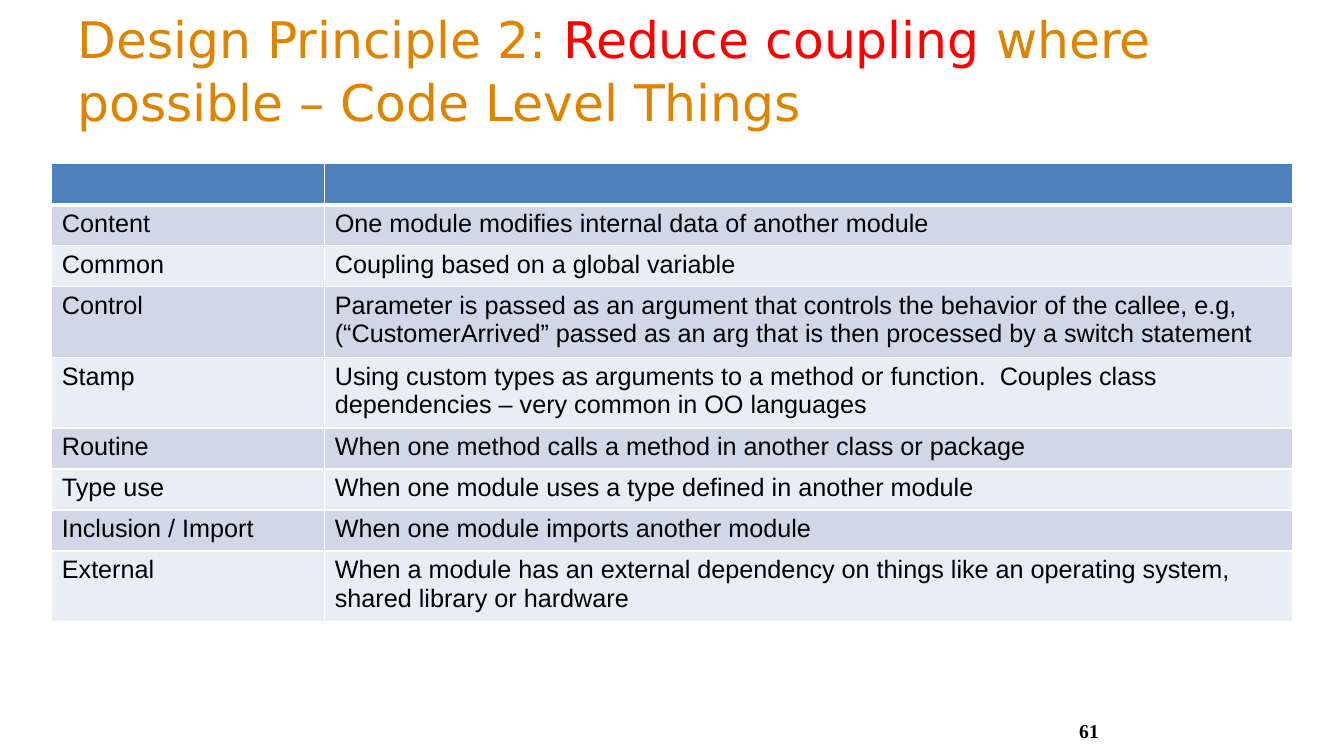
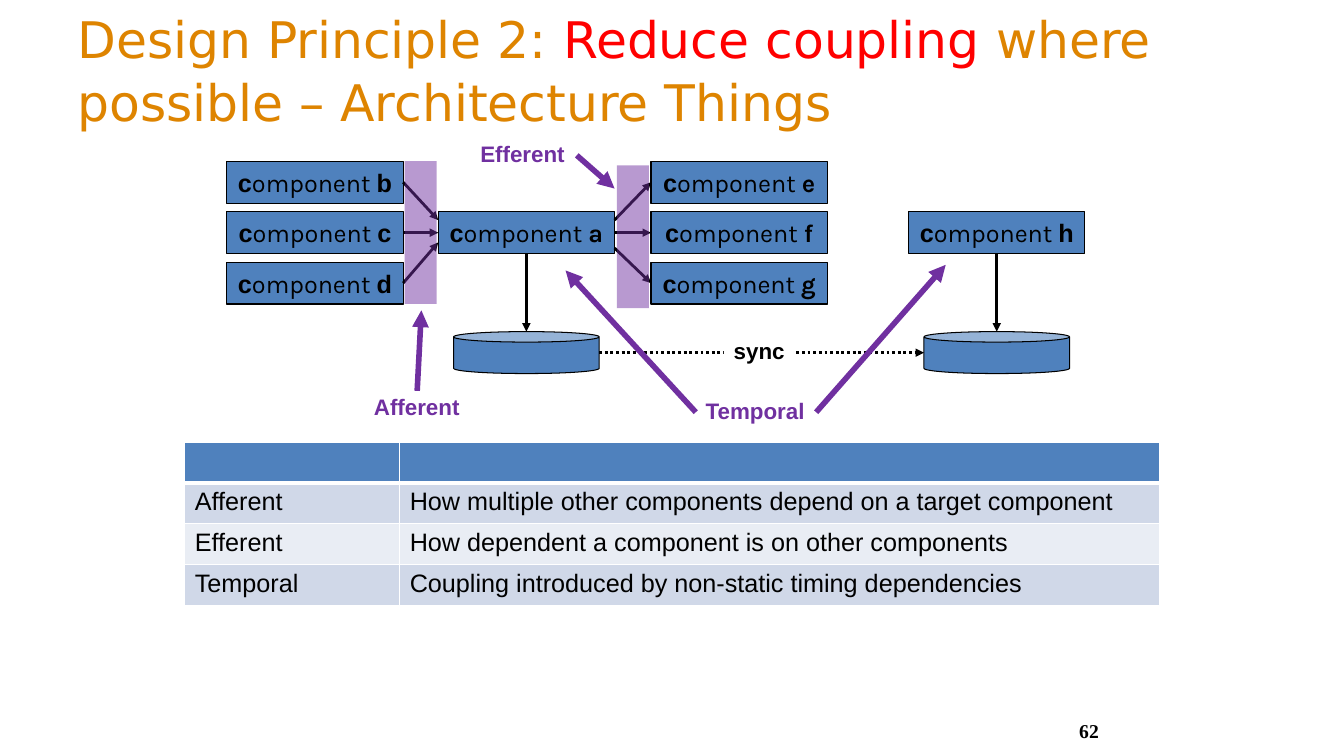
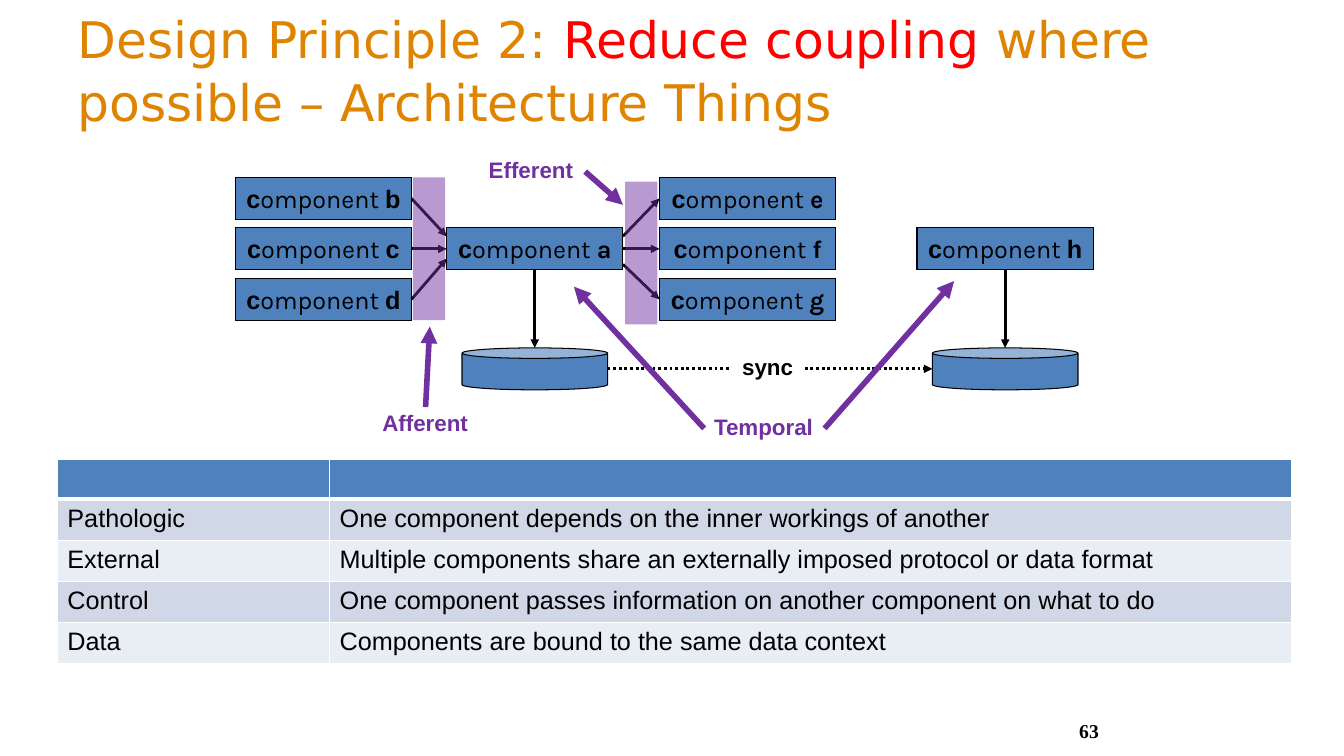
from pptx import Presentation
from pptx.dml.color import RGBColor
from pptx.enum.dml import MSO_LINE
from pptx.enum.shapes import MSO_CONNECTOR, MSO_SHAPE
from pptx.enum.text import MSO_ANCHOR, MSO_AUTO_SIZE, PP_ALIGN
from pptx.oxml.ns import qn
from pptx.util import Pt
from lxml import etree

# Shared look
BLACK, WHITE, RED = "000000", "FFFFFF", "FF0000"
ORANGE, BLUE, PURPLE = "DE8400", "4F81BD", "7030A0"
ROW_FILLS = ("D0D8E8", "E9EDF4")
LEFT, CENTER, RIGHT = PP_ALIGN.LEFT, PP_ALIGN.CENTER, PP_ALIGN.RIGHT
MIDDLE, TOP_ANCHOR = MSO_ANCHOR.MIDDLE, MSO_ANCHOR.TOP
RECTANGLE, CAN = MSO_SHAPE.RECTANGLE, MSO_SHAPE.CAN
STRAIGHT, DOTTED = MSO_CONNECTOR.STRAIGHT, MSO_LINE.ROUND_DOT
NO_AUTOFIT = MSO_AUTO_SIZE.NONE
TITLE_ONLY = 5
TOP, LEFT_SIDE, BOTTOM, RIGHT_SIDE = range(4)

# Component boxes
BOX_WIDTH, BOX_HEIGHT, BOX_PITCH = 126, 30, 36
CAN_WIDTH = 104

CODE_ROWS = [
    ("Content", "One module modifies internal data of another module"),
    ("Common", "Coupling based on a global variable"),
    ("Control", "Parameter is passed as an argument that controls the behavior of the callee, "
     "e.g, (“CustomerArrived” passed as an arg that is then processed by a switch statement"),
    ("Stamp", "Using custom types as arguments to a method or function.  Couples class "
     "dependencies – very common in OO languages"),
    ("Routine", "When one method calls a method in another class or package"),
    ("Type use", "When one module uses a type defined in another module"),
    ("Inclusion / Import", "When one module imports another module"),
    ("External", "When a module has an external dependency on things like an operating system, "
     "shared library or hardware"),
]
DIRECTION_ROWS = [
    ("Afferent", "How multiple other components depend on a target component"),
    ("Efferent", "How dependent a component is on other components"),
    ("Temporal", "Coupling introduced by non-static timing dependencies"),
]
KIND_ROWS = [
    ("Pathologic", "One component depends on the inner workings of another"),
    ("External", "Multiple components share an externally imposed protocol or data format"),
    ("Control", "One component passes information on another component on what to do"),
    ("Data", "Components are bound to the same data context"),
]


def rgb(value):
    return RGBColor.from_string(value)


def write_text(frame, runs, size=18, font="Arial", color=BLACK, bold=False,
               align=LEFT, anchor=MIDDLE, spacing=None, wrap=True):
    """Write one paragraph; each run is (text, overrides of font, color or bold)."""
    frame.word_wrap = wrap
    frame.vertical_anchor = anchor
    paragraph = frame.paragraphs[0]
    paragraph.alignment = align
    paragraph.line_spacing = spacing
    for text, changes in runs:
        run = paragraph.add_run()
        run.text = text
        run.font.size = Pt(size)
        run.font.name = changes.get("font", font)
        run.font.bold = changes.get("bold", bold)
        run.font.color.rgb = rgb(changes.get("color", color))


def add_block(slide, kind, left, top, width, height, fill, outline=None, opacity=None):
    shape = slide.shapes.add_shape(kind, Pt(left), Pt(top), Pt(width), Pt(height))
    shape.shadow.inherit = False
    shape.fill.solid()
    shape.fill.fore_color.rgb = rgb(fill)
    if opacity:
        color = shape.fill._xPr.find(qn("a:solidFill"))[0]
        etree.SubElement(color, qn("a:alpha"), val=str(opacity * 1000))
    if outline:
        shape.line.color.rgb = rgb(outline)
        shape.line.width = Pt(0.75)
    else:
        shape.line.fill.background()
    return shape


def add_arrow(slide, start, end, color=BLACK, width=2, dash=None, source=None, target=None):
    """Draw an arrow; source and target are (shape, side) to join."""
    arrow = slide.shapes.add_connector(STRAIGHT, *(Pt(value) for value in (*start, *end)))
    if source:
        arrow.begin_connect(*source)
    if target:
        arrow.end_connect(*target)
    arrow.line.color.rgb = rgb(color)
    arrow.line.width = Pt(width)
    if dash:
        arrow.line.dash_style = dash
    properties = arrow._element.spPr
    etree.SubElement(arrow.line._get_or_add_ln(), qn("a:tailEnd"), type="triangle")
    etree.SubElement(properties, qn("a:effectLst"))


def set_borders(cell, widths):
    properties = cell._tc.get_or_add_tcPr()
    for position, (side, width) in enumerate(widths.items()):
        line = etree.Element(qn(f"a:ln{side}"), w=str(Pt(width)))
        fill = etree.SubElement(line, qn("a:solidFill"))
        etree.SubElement(fill, qn("a:srgbClr"), val=WHITE)
        properties.insert(position, line)


def add_definitions(slide, left, top, column_widths, rows, header_height, wrapped=()):
    """Add a two-column table with an empty header; wrapped names the two-line rows."""
    table = slide.shapes.add_table(
        len(rows) + 1, 2, Pt(left), Pt(top), Pt(sum(column_widths)), Pt(100)).table
    table.horz_banding = False
    for column, width in zip(table.columns, column_widths):
        column.width = Pt(width)
    for index, texts in enumerate([("", "")] + rows):
        height = 47.4 if texts[0] in wrapped else 29.3
        table.rows[index].height = Pt(height if index else header_height)
        for cell, text in zip(table.rows[index].cells, texts):
            cell.fill.solid()
            cell.fill.fore_color.rgb = rgb(ROW_FILLS[(index - 1) % 2] if index else BLUE)
            set_borders(cell, {"L": 1, "R": 1, "T": 3 if index == 1 else 1,
                               "B": 1 if index else 3})
            if text:
                write_text(cell.text_frame, [(text, {})], anchor=TOP_ANCHOR)


def add_slide(presentation, number, topic):
    slide = presentation.slides.add_slide(presentation.slide_layouts[TITLE_ONLY])
    title = slide.shapes.title
    title.left, title.top, title.width, title.height = Pt(48), Pt(21.6), Pt(864), Pt(54.7)
    title.text_frame.auto_size = NO_AUTOFIT
    write_text(title.text_frame,
               [("Design Principle 2: ", {}), ("Reduce coupling ", {"color": RED}),
                (f"where possible – {topic} Things", {})],
               size=36, font="DejaVu Sans", color=ORANGE, spacing=1.04)
    box = slide.shapes.add_textbox(Pt(756), Pt(504), Pt(36), Pt(36))
    write_text(box.text_frame, [(str(number), {})], size=14, font="Times New Roman",
               bold=True, align=RIGHT)
    return slide


def add_diagram(slide, left, top):
    """Draw the coupling diagram with its first component at left, top."""
    def at(x, y):
        return left + x, top + y

    def component(letter, x, row, letter_font="Karla"):
        box = add_block(slide, RECTANGLE, *at(x, row * BOX_PITCH), BOX_WIDTH, BOX_HEIGHT,
                        BLUE, outline=BLACK)
        write_text(box.text_frame,
                   [("c", {}), ("omponent ", {"font": "Karla", "bold": False}),
                    (letter, {"font": letter_font})],
                   bold=True, align=CENTER, wrap=False)
        return box

    def label(text, x, y, width, color=PURPLE):
        box = add_block(slide, RECTANGLE, *at(x, y), width, 24.5, WHITE)
        write_text(box.text_frame, [(text, {})], size=16, color=color, bold=True,
                   spacing=0.9, wrap=False)
        return box

    # Components
    a_left, e_left, h_left = 151, 303, 487
    a_right = a_left + BOX_WIDTH
    component_a = component("a", a_left, 1)
    callers = [component(letter, 0, row, "Arial") for row, letter in enumerate("bcd")]
    callees = [component(letter, e_left, row) for row, letter in enumerate("efg")]
    component_h = component("h", h_left, 1, "Arial")

    # Calls into and out of component a
    for row, (caller, callee) in enumerate(zip(callers, callees)):
        middle = row * BOX_PITCH + BOX_HEIGHT / 2
        is_level = row == 1
        add_arrow(slide, at(BOX_WIDTH, middle), at(a_left, (42, middle, 58)[row]),
                  source=(caller, RIGHT_SIDE),
                  target=(component_a, LEFT_SIDE) if is_level else None)
        add_arrow(slide, at(a_right, (42, middle, 62)[row]), at(e_left, middle),
                  source=(component_a, RIGHT_SIDE) if is_level else None,
                  target=(callee, LEFT_SIDE))

    # Data stores
    store_top = 121.7
    for owner, owner_left in ((component_a, a_left), (component_h, h_left)):
        center = owner_left + BOX_WIDTH / 2
        add_block(slide, CAN, *at(center - CAN_WIDTH / 2, store_top), CAN_WIDTH, BOX_HEIGHT,
                  BLUE, outline=BLACK)
        add_arrow(slide, at(center, BOX_PITCH + BOX_HEIGHT), at(center, store_top),
                  source=(owner, BOTTOM))
    sync_y = store_top + BOX_HEIGHT / 2
    store_inset = (BOX_WIDTH - CAN_WIDTH) / 2
    add_arrow(slide, at(a_right - store_inset, sync_y), at(h_left + store_inset, sync_y),
              dash=DOTTED)
    label("sync", 355, 124, 51, BLACK)

    # Coupling kinds
    for x, y in ((127, 0), (278.6, 3)):
        add_block(slide, RECTANGLE, *at(x, y), 23, 102, PURPLE, opacity=49)
    afferent = label("Afferent", 98, 164, 76)
    efferent = label("Efferent", 174, -16.5, 76)
    temporal = label("Temporal", 335, 167, 86)
    for source, side, start, end in (
            (afferent, TOP, (136, 164), (139, 106.5)),
            (efferent, RIGHT_SIDE, (250, -4.25), (277, 19.5)),
            (temporal, LEFT_SIDE, (335, 179.25), (242, 78)),
            (temporal, RIGHT_SIDE, (421, 179.25), (513.5, 74))):
        add_arrow(slide, at(*start), at(*end), PURPLE, 4, source=(source, side))


def main():
    presentation = Presentation()
    presentation.slide_width, presentation.slide_height = Pt(960), Pt(540)

    # Code level coupling
    slide = add_slide(presentation, 61, "Code Level")
    add_definitions(slide, 37, 117, (195, 691), CODE_ROWS, 29.3,
                    wrapped=("Control", "Stamp", "External"))

    # Architecture coupling: direction and timing
    slide = add_slide(presentation, 62, "Architecture")
    add_definitions(slide, 132, 316, (153.5, 543), DIRECTION_ROWS, 27.3)
    add_diagram(slide, 162, 115.2)

    # Architecture coupling: further kinds
    slide = add_slide(presentation, 63, "Architecture")
    add_definitions(slide, 41, 327.8, (194.5, 687), KIND_ROWS, 27.3)
    add_diagram(slide, 168, 126.8)

    presentation.save("out.pptx")


if __name__ == "__main__":
    main()
